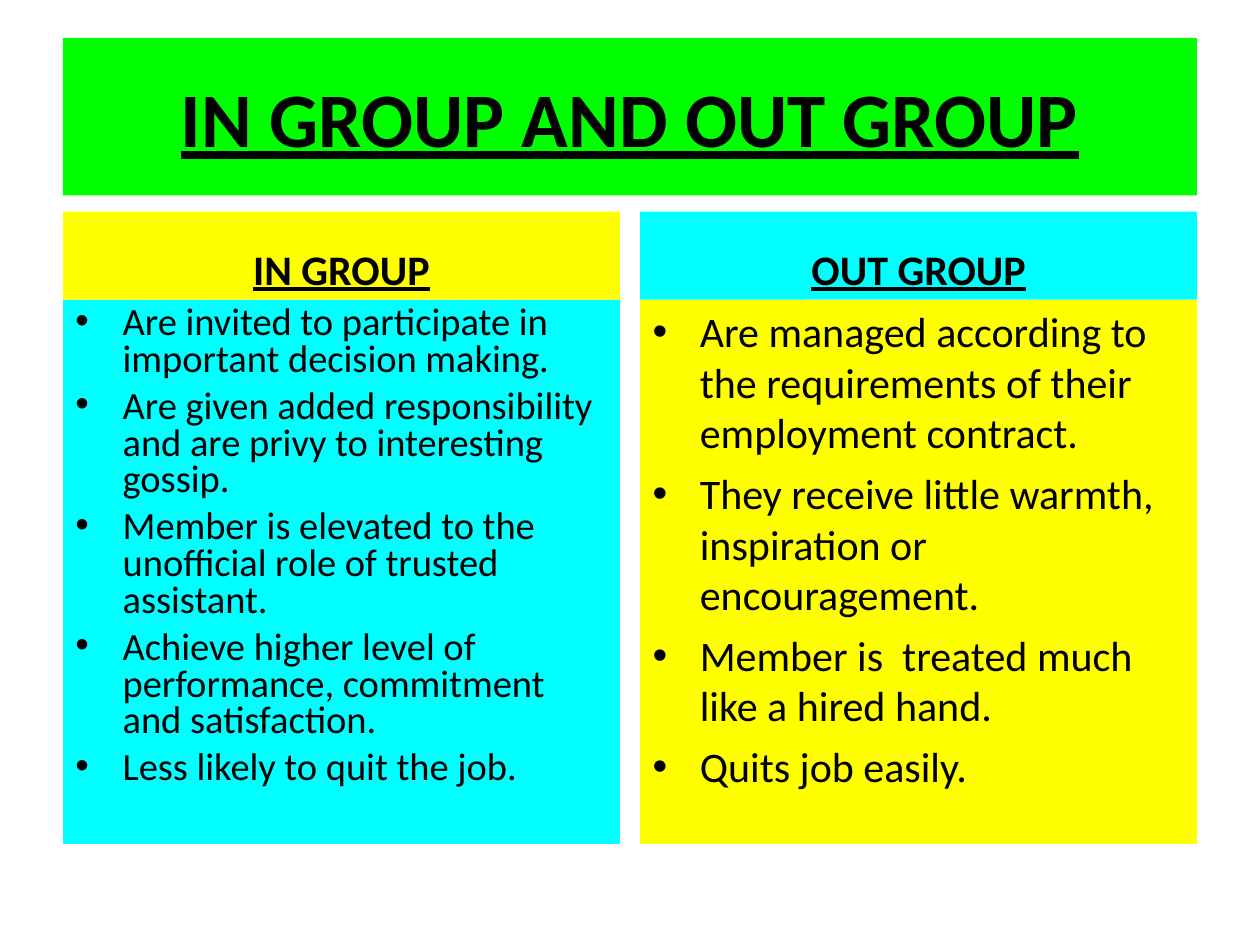
import pptx
import pptx.util
import pptx.dml.color
import pptx.enum.shapes
import pptx.enum.text
import pptx.oxml.ns
from lxml import etree

Pt = pptx.util.Pt
RGB = pptx.dml.color.RGBColor
ALIGN = pptx.enum.text.PP_ALIGN
ANCHOR = pptx.enum.text.MSO_ANCHOR

BLACK = RGB(0, 0, 0)
GREEN = RGB(0, 255, 0)
YELLOW = RGB(255, 255, 0)
CYAN = RGB(0, 255, 255)

TITLE = "IN GROUP AND OUT GROUP"
GROUPS = [
    {
        "heading": "IN GROUP", "heading_fill": YELLOW, "list_fill": CYAN,
        "size": 22, "line_spacing": 0.8, "gap": 5.5,
        "traits": [
            "Are invited to participate in important decision making.",
            "Are given added responsibility and are privy to interesting gossip.",
            "Member is elevated to the unofficial role of trusted assistant.",
            "Achieve higher level of performance, commitment and satisfaction.",
            "Less likely to quit the job.",
        ],
    },
    {
        "heading": "OUT GROUP", "heading_fill": CYAN, "list_fill": YELLOW,
        "size": 24, "line_spacing": 1.0, "gap": 6,
        "traits": [
            "Are managed according to the requirements of their employment contract.",
            "They receive little warmth, inspiration or encouragement.",
            "Member is  treated much like a hired hand.",
            "Quits job easily.",
        ],
    },
]

SLIDE_W, SLIDE_H = 720, 540
MARGIN = 36
CONTENT_W = SLIDE_W - 2 * MARGIN
TITLE_TOP, TITLE_H = 21.6, 90
COLUMN_GAP = 11.6
COLUMN_W = (CONTENT_W - COLUMN_GAP) / 2
HEADING_TOP, HEADING_H = 120.9, 50.4
LIST_TOP, LIST_H = HEADING_TOP + HEADING_H, 311
INDENT = 27


def add_panel(slide, left, top, width, height, fill, anchor):
    """Add a borderless filled rectangle and return its text frame."""
    panel = slide.shapes.add_shape(
        pptx.enum.shapes.MSO_SHAPE.RECTANGLE,
        Pt(left), Pt(top), Pt(width), Pt(height))
    panel.shadow.inherit = False
    panel.fill.solid()
    panel.fill.fore_color.rgb = fill
    panel.line.fill.background()
    frame = panel.text_frame
    frame.word_wrap = True
    frame.vertical_anchor = anchor
    return frame


def set_font(paragraph, size, emphasis=False):
    font = paragraph.font
    font.name = "Calibri"
    font.size = Pt(size)
    font.color.rgb = BLACK
    font.bold = emphasis
    font.underline = emphasis


def write_heading(frame, text, size):
    paragraph = frame.paragraphs[0]
    paragraph.text = text
    paragraph.alignment = ALIGN.CENTER
    set_font(paragraph, size, emphasis=True)


def add_bullet(paragraph):
    qn = pptx.oxml.ns.qn
    properties = paragraph._p.get_or_add_pPr()
    properties.set("marL", str(Pt(INDENT)))
    properties.set("indent", str(-Pt(INDENT)))
    etree.SubElement(properties, qn("a:buFont")).set("typeface", "Arial")
    etree.SubElement(properties, qn("a:buChar")).set("char", "•")


def write_traits(frame, group):
    for i, trait in enumerate(group["traits"]):
        paragraph = frame.add_paragraph() if i else frame.paragraphs[0]
        paragraph.text = trait
        paragraph.alignment = ALIGN.LEFT
        paragraph.line_spacing = group["line_spacing"]
        if i:
            paragraph.space_before = Pt(group["gap"])
        add_bullet(paragraph)
        set_font(paragraph, group["size"])


def main():
    deck = pptx.Presentation()
    deck.slide_width, deck.slide_height = Pt(SLIDE_W), Pt(SLIDE_H)
    slide = deck.slides.add_slide(deck.slide_layouts[6])

    title = add_panel(slide, MARGIN, TITLE_TOP, CONTENT_W, TITLE_H, GREEN, ANCHOR.MIDDLE)
    write_heading(title, TITLE, 44)

    for column, group in enumerate(GROUPS):
        left = MARGIN + column * (COLUMN_W + COLUMN_GAP)
        heading = add_panel(slide, left, HEADING_TOP, COLUMN_W, HEADING_H,
                            group["heading_fill"], ANCHOR.BOTTOM)
        write_heading(heading, group["heading"], 24)
        traits = add_panel(slide, left, LIST_TOP, COLUMN_W, LIST_H,
                           group["list_fill"], ANCHOR.TOP)
        write_traits(traits, group)

    deck.save("out.pptx")


if __name__ == "__main__":
    main()
